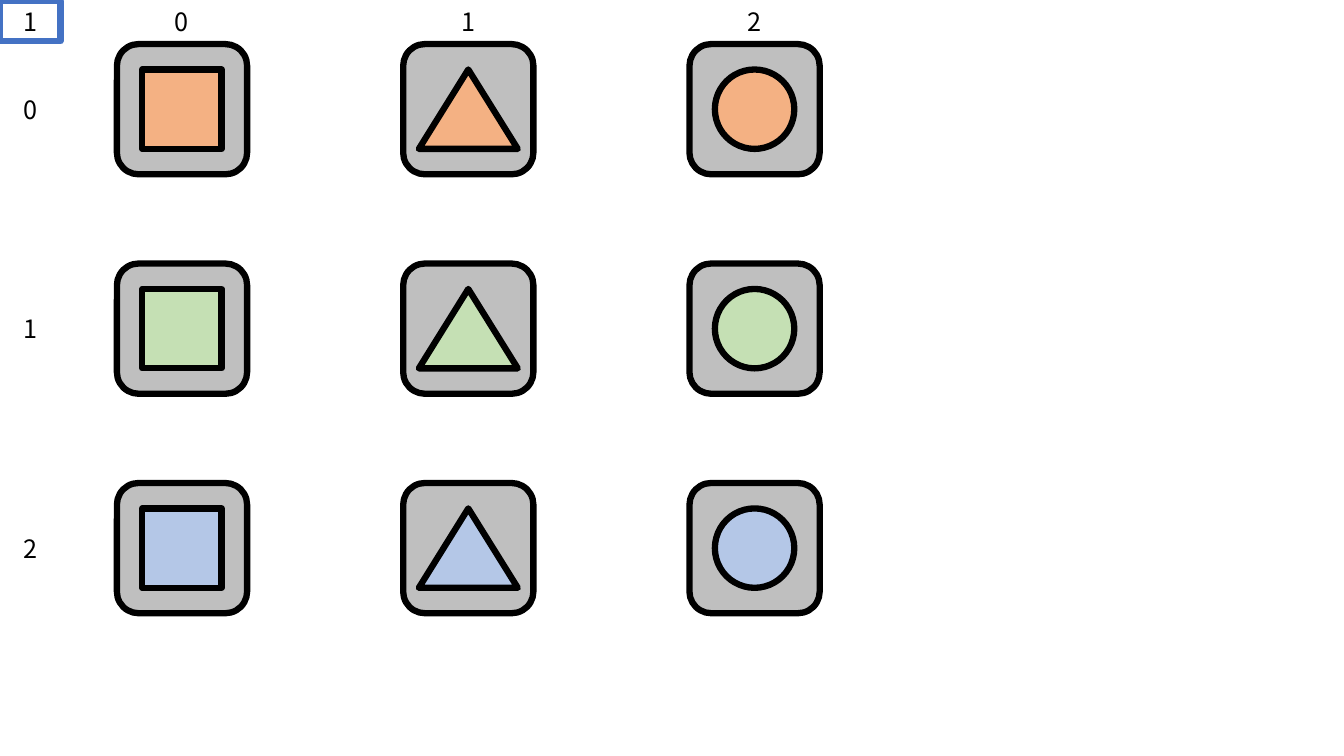
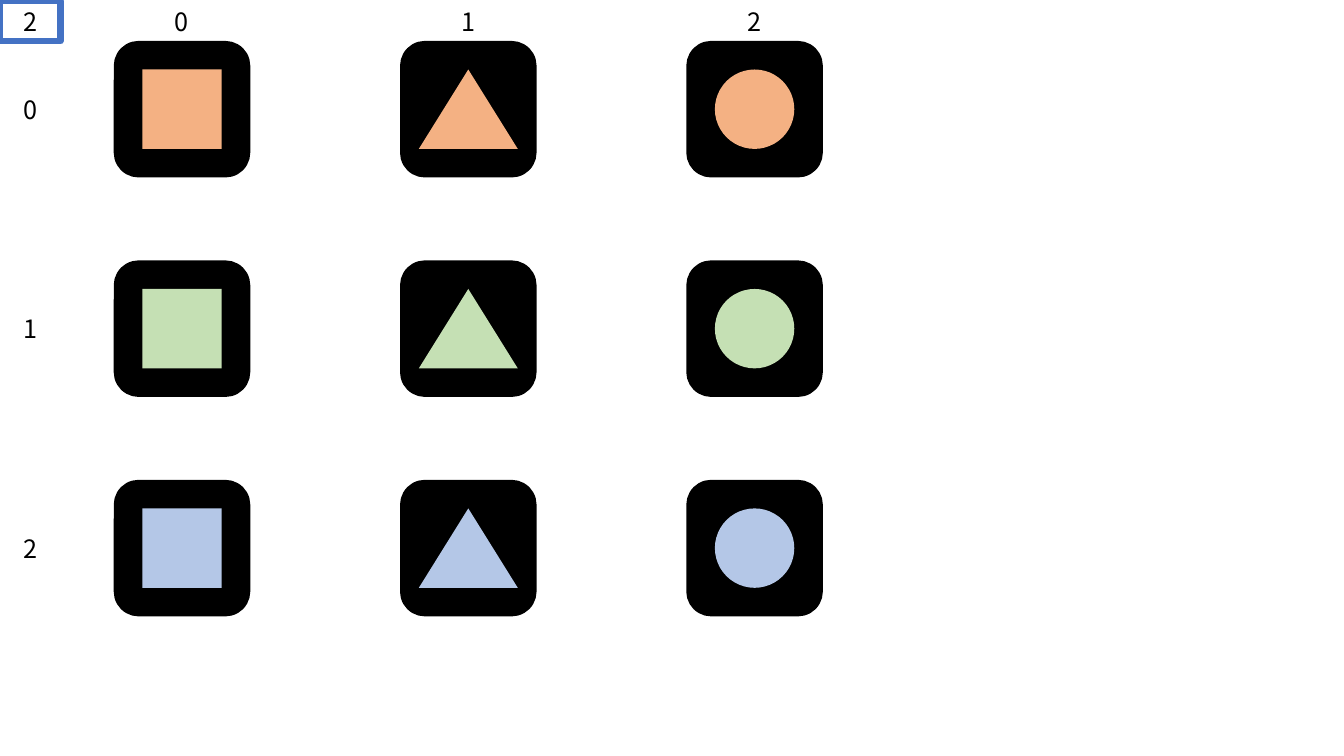
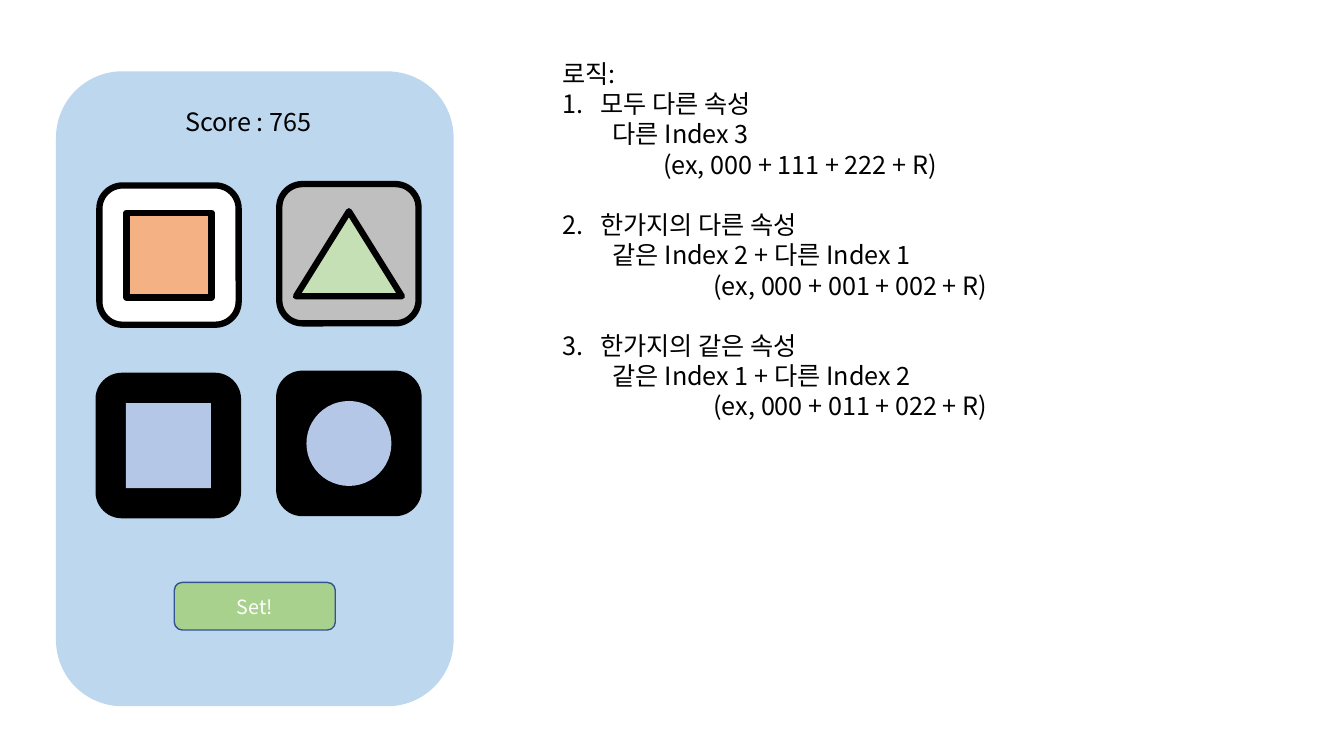
from dataclasses import dataclass
from typing import Any, Optional

from lxml import etree
from pptx import Presentation, util as u
from pptx.dml import color
from pptx.enum import shapes, text
from pptx.oxml import ns

Kind = shapes.MSO_SHAPE
Align = text.PP_ALIGN
Anchor = text.MSO_ANCHOR


@dataclass(frozen=True)
class Theme:
    font: str = "Noto Sans CJK KR"
    body: float = 18
    small: float = 14
    lead: float = 1.2
    thick: float = 4.5
    thin: float = 1
    black: str = "000000"
    white: str = "FFFFFF"
    gray: str = "BFBFBF"
    orange: str = "F4B183"
    green: str = "C5E0B4"
    blue: str = "B4C7E7"
    frame: str = "4472C4"
    phone: str = "BDD7EE"
    button: str = "A9D18E"
    edge: str = "325491"


T = Theme()


@dataclass(frozen=True)
class Box:
    x: float
    y: float
    w: float
    h: float


@dataclass(frozen=True)
class Card:
    x: float
    y: float
    side: float
    back: str
    kind: Kind
    tint: str


@dataclass(frozen=True)
class Line:
    words: str
    left: float = 0
    level: int = 0
    gap: float = 0
    count: bool = False


def put(item: Any, values: dict[str, Any]) -> None:
    for name, value in values.items():
        setattr(item, name, value)


def rgb(code: str) -> color.RGBColor:
    return color.RGBColor.from_string(code)


def place(box: Box) -> tuple[u.Length, ...]:
    return tuple(u.Pt(v) for v in (box.x, box.y, box.w, box.h))


def draw(tree: Any, kind: Kind, box: Box, fill: Optional[str],
         line: Optional[str] = None, width: float = T.thick) -> Any:
    shape = tree.add_shape(kind, *place(box))
    shape.shadow.inherit = False
    if fill:
        shape.fill.solid()
        shape.fill.fore_color.rgb = rgb(fill)
    else:
        shape.fill.background()
    if line:
        shape.line.color.rgb = rgb(line)
        shape.line.width = u.Pt(width)
    else:
        shape.line.fill.background()
    return shape


def write(shape: Any, lines: list[Line], align: Align = Align.CENTER,
          size: float = T.body, tint: str = T.black,
          anchor: Anchor = Anchor.TOP) -> None:
    frame = shape.text_frame
    put(frame, {"word_wrap": True, "vertical_anchor": anchor})
    for i, line in enumerate(lines):
        para = frame.add_paragraph() if i else frame.paragraphs[0]
        put(para, {"alignment": align, "level": line.level,
                   "line_spacing": u.Pt(size * T.lead),
                   "space_before": u.Pt(line.gap)})
        props = para._p.get_or_add_pPr()
        props.set("marL", str(u.Pt(line.left)))
        props.set("indent", str(-u.Pt(line.left) if line.count else 0))
        if line.count:
            etree.SubElement(props, ns.qn("a:buFont"), typeface="+mj-lt")
            etree.SubElement(props, ns.qn("a:buAutoNum"), type="arabicPeriod")
        run = para.add_run()
        run.text = line.words
        put(run.font, {"size": u.Pt(size), "name": T.font})
        run.font.color.rgb = rgb(tint)
        etree.SubElement(run._r.get_or_add_rPr(), ns.qn("a:ea"), typeface=T.font)


def label(tree: Any, words: str, box: Box) -> None:
    write(tree.add_textbox(*place(box)), [Line(words)])


def deal(tree: Any, card: Card) -> None:
    group = tree.add_group_shape().shapes
    side = card.side
    draw(group, Kind.ROUNDED_RECTANGLE, Box(card.x, card.y, side, side),
         card.back, T.black)
    high = side * 0.61
    wide = side * 0.76 if card.kind == Kind.ISOSCELES_TRIANGLE else high
    inner = Box(card.x + (side - wide) / 2, card.y + (side - high) / 2, wide, high)
    draw(group, card.kind, inner, card.tint,
         None if card.back == T.black else T.black)


KINDS = (Kind.RECTANGLE, Kind.ISOSCELES_TRIANGLE, Kind.OVAL)
TINTS = (T.orange, T.green, T.blue)
SIDE = 93
TAG = Box(0, 0.7, 43.2, 28.8)


def grid(tree: Any, index: int, back: str) -> None:
    cols = [83.5 + 204.5 * i for i in range(3)]
    rows = [31.5 + 156.75 * i for i in range(3)]
    for y, tint in zip(rows, TINTS):
        for x, kind in zip(cols, KINDS):
            deal(tree, Card(x, y, SIDE, back, kind, tint))
    for i, x in enumerate(cols):
        label(tree, str(i), Box(x + (SIDE - TAG.w) / 2, TAG.y, TAG.w, TAG.h))
    for i, y in enumerate(rows):
        label(tree, str(i), Box(TAG.x, y + (SIDE - TAG.h) / 2, TAG.w, TAG.h))
    write(draw(tree, Kind.RECTANGLE, TAG, None, T.frame), [Line(str(index))])


def game(tree: Any) -> None:
    draw(tree, Kind.ROUNDED_RECTANGLE, Box(40, 51, 284, 453.5), T.phone)
    button = draw(tree, Kind.ROUNDED_RECTANGLE, Box(124.5, 416, 115, 34),
                  T.button, T.edge, T.thin)
    write(button, [Line("Set!")], size=T.small, tint=T.white, anchor=Anchor.MIDDLE)
    label(tree, "Score : 765", Box(85.5, 72.7, 183.6, 28.8))
    side = 99.5
    for card in (
        Card(71, 132.5, side, T.white, Kind.RECTANGLE, T.orange),
        Card(199.5, 131.5, side, T.gray, Kind.ISOSCELES_TRIANGLE, T.green),
        Card(70.5, 268.5, side, T.black, Kind.RECTANGLE, T.blue),
        Card(199.5, 267, side, T.black, Kind.OVAL, T.blue),
    ):
        deal(tree, card)


def logic(tree: Any) -> None:
    rules = (
        ("모두 다른 속성", "다른 Index 3", "(ex, 000 + 111 + 222 + R)", 72),
        ("한가지의 다른 속성", "같은 Index 2 + 다른 Index 1",
         "(ex, 000 + 001 + 002 + R)", 108),
        ("한가지의 같은 속성", "같은 Index 1 + 다른 Index 2",
         "(ex, 000 + 011 + 022 + R)", 108),
    )
    lines = [Line("로직:")]
    for i, (head, need, case, left) in enumerate(rules):
        lines += [
            Line(head, 27, gap=T.body * T.lead if i else 0, count=True),
            Line(need, 36, 1),
            Line(case, left, 2),
        ]
    write(tree.add_textbox(*place(Box(394.5, 38, 500, 269))), lines, Align.LEFT)


def main() -> None:
    deck = Presentation()
    put(deck, {"slide_width": u.Pt(960), "slide_height": u.Pt(540)})
    blank = deck.slide_layouts[6]
    for i, back in enumerate((T.gray, T.black), 1):
        grid(deck.slides.add_slide(blank).shapes, i, back)
    last = deck.slides.add_slide(blank).shapes
    game(last)
    logic(last)
    deck.save("out.pptx")


main()
